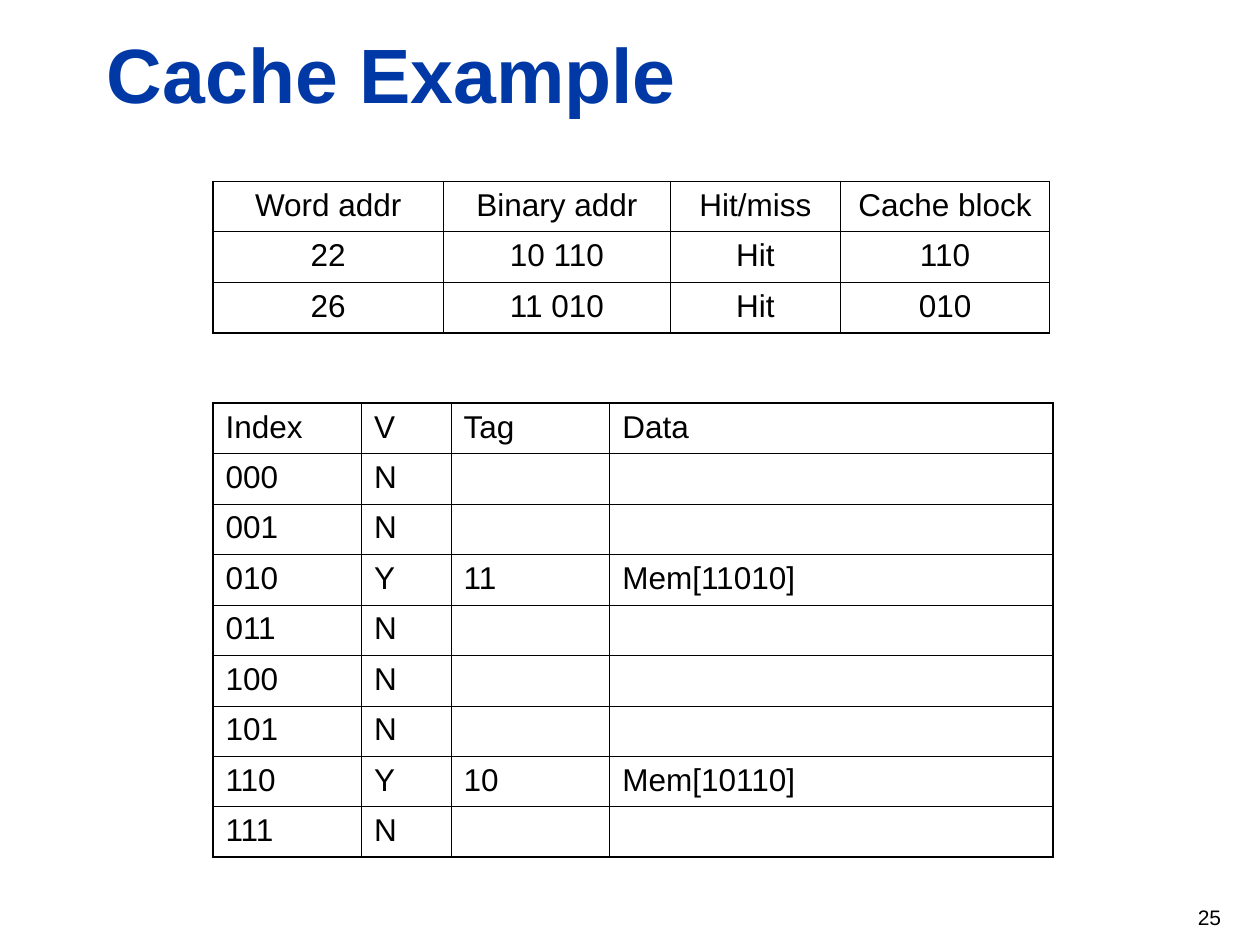
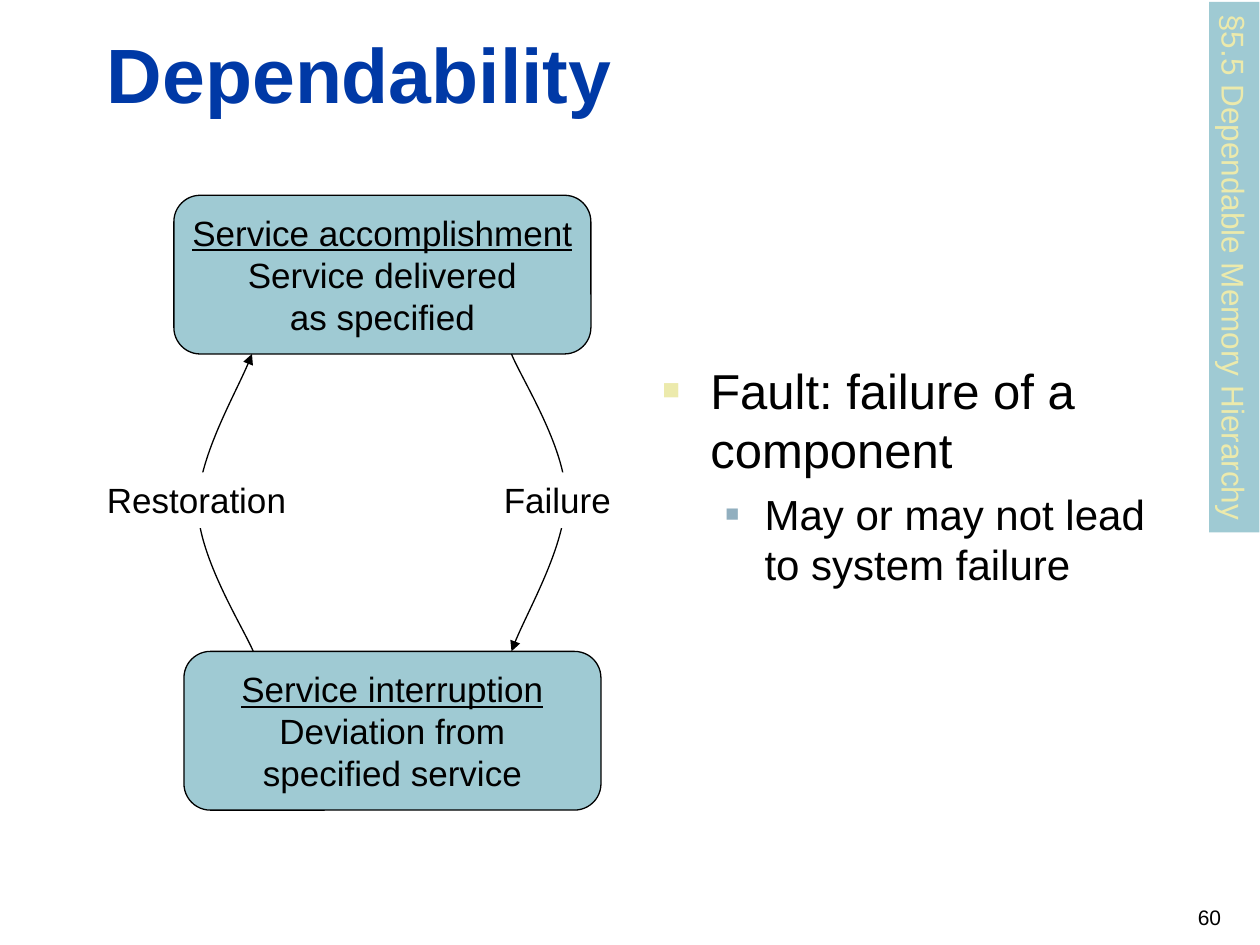
from dataclasses import dataclass

import lxml.etree
import pptx
import pptx.dml.color
import pptx.enum.shapes
import pptx.enum.text
import pptx.oxml.ns
import pptx.shapes.autoshape
import pptx.slide
import pptx.table
import pptx.text.text
import pptx.util

Inches = pptx.util.Inches
Pt = pptx.util.Pt
RGBColor = pptx.dml.color.RGBColor
Align = pptx.enum.text.PP_ALIGN
Anchor = pptx.enum.text.MSO_ANCHOR
Geometry = pptx.enum.shapes.MSO_SHAPE
qn = pptx.oxml.ns.qn

BLACK = RGBColor(0x00, 0x00, 0x00)
WHITE = RGBColor(0xFF, 0xFF, 0xFF)
TITLE_BLUE = RGBColor(0x00, 0x39, 0xA6)
TEAL = RGBColor(0x9F, 0xCA, 0xD3)
CREAM = RGBColor(0xEC, 0xEA, 0xAC)
SLATE = RGBColor(0x91, 0xAF, 0xBF)

FONT = "Arial"
LINE_WIDTH = 0.75
OUTER_BORDER = 1.08
INNER_BORDER = 0.45
ROW_HEIGHT = 0.4


@dataclass(frozen=True)
class Box:
    left: float
    top: float
    width: float
    height: float

    def lengths(self) -> tuple[int, ...]:
        return tuple(Inches(value) for value in (self.left, self.top, self.width, self.height))


@dataclass(frozen=True)
class TextStyle:
    size: float
    color: RGBColor = BLACK
    bold: bool = False
    underline: bool = False
    align: Align = Align.LEFT
    space_before: float = 0


@dataclass(frozen=True)
class CacheTable:
    left: float
    top: float
    column_widths: tuple[float, ...]
    rows: tuple[tuple[str, ...], ...]
    align: Align
    row_rule: float


@dataclass(frozen=True)
class Bullet:
    text: str
    style: TextStyle
    color: RGBColor
    percent: int
    margin: float
    hanging: float


@dataclass(frozen=True)
class ServiceState:
    box: Box
    heading: str
    description: str


@dataclass(frozen=True)
class Transition:
    label: str
    label_box: Box
    align: Align
    curve: tuple[tuple[float, float], ...]


TITLE_BOX = Box(0.75, 0.16, 9.03, 0.83)
NUMBER_BOX = Box(7.54, 7.08, 2.25, 0.4)
SECTION_BOX = Box(7.69, 1.92, 4.21, 0.4)
BODY_BOX = Box(5.16, 2.81, 4.33, 4.02)

TITLE_STYLE = TextStyle(44, TITLE_BLUE, bold=True)
NUMBER_STYLE = TextStyle(12, align=Align.RIGHT)
SECTION_STYLE = TextStyle(18, CREAM)
STATE_STYLE = TextStyle(20, align=Align.CENTER)
STATE_HEADING_STYLE = TextStyle(20, underline=True, align=Align.CENTER)

CACHE_CONTENTS = {"010": ("Y", "11", "Mem[11010]"), "110": ("Y", "10", "Mem[10110]")}
CACHE_ROWS = tuple(
    (index, *CACHE_CONTENTS.get(index, ("N", "", "")))
    for index in (f"{number:03b}" for number in range(8))
)

TABLES = (
    CacheTable(1.69, 3.2, (1.18, 0.71, 1.26, 3.52),
               (("Index", "V", "Tag", "Data"), *CACHE_ROWS), Align.LEFT, INNER_BORDER),
    CacheTable(1.69, 1.44, (1.83, 1.8, 1.35, 1.66),
               (("Word addr", "Binary addr", "Hit/miss", "Cache block"),
                ("22", "10 110", "Hit", "110"),
                ("26", "11 010", "Hit", "010")), Align.CENTER, LINE_WIDTH),
)

BULLETS = (
    Bullet("Fault: failure of a component", TextStyle(28, space_before=7),
           CREAM, 60, 0.38, 0.38),
    Bullet("May or may not lead to system failure", TextStyle(24, space_before=6),
           SLATE, 55, 0.81, 0.31),
)

STATES = (
    ServiceState(Box(1.38, 1.55, 3.31, 1.26), "Service accomplishment",
                 "Service delivered\nas specified"),
    ServiceState(Box(1.46, 5.17, 3.31, 1.26), "Service interruption",
                 "Deviation from\nspecified service"),
)

TRANSITIONS = (
    Transition("Failure", Box(3.9, 3.75, 1.05, 0.44), Align.LEFT,
               ((4.06, 2.81), (4.13, 2.99), (4.49, 3.55), (4.49, 3.94),
                (4.49, 4.33), (4.15, 4.91), (4.06, 5.17))),
    Transition("Restoration", Box(0.75, 3.75, 1.62, 0.44), Align.RIGHT,
               ((2.01, 5.17), (1.93, 4.98), (1.58, 4.43), (1.57, 4.03),
                (1.57, 3.64), (1.91, 3.06), (2.0, 2.81))),
)


def write_paragraph(paragraph: pptx.text.text._Paragraph, text: str, style: TextStyle) -> None:
    paragraph.alignment = style.align
    paragraph.space_before = Pt(style.space_before)
    for number, line in enumerate(text.split("\n")):
        if number:
            paragraph.add_line_break()
        run = paragraph.add_run()
        run.text = line
        run.font.name = FONT
        run.font.size = Pt(style.size)
        run.font.bold = style.bold
        run.font.underline = style.underline
        run.font.color.rgb = style.color


def add_text(slide: pptx.slide.Slide, box: Box, text: str, style: TextStyle,
             anchor: Anchor) -> None:
    frame = slide.shapes.add_textbox(*box.lengths()).text_frame
    frame.word_wrap = True
    frame.vertical_anchor = anchor
    write_paragraph(frame.paragraphs[0], text, style)


def add_block(slide: pptx.slide.Slide, geometry: Geometry, box: Box, fill: RGBColor,
              anchor: Anchor = Anchor.TOP) -> pptx.shapes.autoshape.Shape:
    """Add a filled shape without outline whose text does not wrap."""
    shape = slide.shapes.add_shape(geometry, *box.lengths())
    shape.shadow.inherit = False
    shape.fill.solid()
    shape.fill.fore_color.rgb = fill
    shape.line.fill.background()
    shape.text_frame.word_wrap = False
    shape.text_frame.vertical_anchor = anchor
    return shape


def set_black_line(shape: pptx.shapes.autoshape.Shape) -> None:
    shape.line.color.rgb = BLACK
    shape.line.width = Pt(LINE_WIDTH)


def set_cell_borders(cell: pptx.table._Cell, widths: dict[str, float]) -> None:
    """Add borders, which the schema wants in the order L, R, T, B before the fill."""
    properties = cell._tc.get_or_add_tcPr()
    for position, (side, width) in enumerate(widths.items()):
        line = lxml.etree.Element(qn(f"a:ln{side}"), w=str(Pt(width)))
        fill = lxml.etree.SubElement(line, qn("a:solidFill"))
        lxml.etree.SubElement(fill, qn("a:srgbClr"), val=str(BLACK))
        properties.insert(position, line)


def add_cache_table(slide: pptx.slide.Slide, content: CacheTable) -> None:
    row_count, column_count = len(content.rows), len(content.column_widths)
    box = Box(content.left, content.top, sum(content.column_widths), ROW_HEIGHT * row_count)
    table = slide.shapes.add_table(row_count, column_count, *box.lengths()).table
    table.first_row = False
    table.horz_banding = False
    for column, width in zip(table.columns, content.column_widths):
        column.width = Inches(width)
    style = TextStyle(18, align=content.align, space_before=4.5)

    def row_edge(edge: int) -> float:
        if edge in (0, row_count):
            return OUTER_BORDER
        return LINE_WIDTH if edge == 1 else content.row_rule

    def column_edge(edge: int) -> float:
        return OUTER_BORDER if edge in (0, column_count) else INNER_BORDER

    for row, texts in enumerate(content.rows):
        table.rows[row].height = Inches(ROW_HEIGHT)
        for column, text in enumerate(texts):
            cell = table.cell(row, column)
            cell.fill.background()
            if text:
                write_paragraph(cell.text_frame.paragraphs[0], text, style)
            set_cell_borders(cell, {"L": column_edge(column), "R": column_edge(column + 1),
                                    "T": row_edge(row), "B": row_edge(row + 1)})


def add_bullets(slide: pptx.slide.Slide) -> None:
    frame = slide.shapes.add_textbox(*BODY_BOX.lengths()).text_frame
    frame.word_wrap = True
    for level, bullet in enumerate(BULLETS):
        paragraph = frame.add_paragraph() if level else frame.paragraphs[0]
        paragraph.level = level
        write_paragraph(paragraph, bullet.text, bullet.style)
        properties = paragraph._p.get_or_add_pPr()
        properties.set("marL", str(Inches(bullet.margin)))
        properties.set("indent", str(-Inches(bullet.hanging)))
        color = lxml.etree.SubElement(properties, qn("a:buClr"))
        lxml.etree.SubElement(color, qn("a:srgbClr"), val=str(bullet.color))
        lxml.etree.SubElement(properties, qn("a:buSzPct"), val=str(bullet.percent * 1000))
        lxml.etree.SubElement(properties, qn("a:buFont"), typeface=FONT)
        lxml.etree.SubElement(properties, qn("a:buChar"), char="■")


def add_state(slide: pptx.slide.Slide, state: ServiceState) -> None:
    shape = add_block(slide, Geometry.ROUNDED_RECTANGLE, state.box, TEAL, Anchor.MIDDLE)
    set_black_line(shape)
    frame = shape.text_frame
    write_paragraph(frame.paragraphs[0], state.heading, STATE_HEADING_STYLE)
    write_paragraph(frame.add_paragraph(), state.description, STATE_STYLE)


def add_curved_arrow(slide: pptx.slide.Slide, points: tuple[tuple[float, float], ...]) -> None:
    """Draw a Bezier arrow from a start point followed by triples of curve points."""
    start, *others = [(Inches(x), Inches(y)) for x, y in points]
    builder = slide.shapes.build_freeform(*start)
    builder.add_line_segments(others, close=False)
    shape = builder.convert_to_shape()
    segments = list(shape._element.iter(qn("a:lnTo")))
    outline = segments[0].getparent()
    for first in range(0, len(segments), 3):
        curve = lxml.etree.SubElement(outline, qn("a:cubicBezTo"))
        for segment in segments[first:first + 3]:
            curve.append(segment[0])
            outline.remove(segment)
    shape.shadow.inherit = False
    shape.fill.background()
    set_black_line(shape)
    lxml.etree.SubElement(shape.line._get_or_add_ln(), qn("a:tailEnd"), type="triangle")


def add_transition(slide: pptx.slide.Slide, transition: Transition) -> None:
    add_curved_arrow(slide, transition.curve)
    label = add_block(slide, Geometry.RECTANGLE, transition.label_box, WHITE)
    write_paragraph(label.text_frame.paragraphs[0], transition.label,
                    TextStyle(20, align=transition.align))


def add_section_tab(slide: pptx.slide.Slide, text: str) -> None:
    tab = add_block(slide, Geometry.RECTANGLE, SECTION_BOX, TEAL)
    tab.rotation = 90
    write_paragraph(tab.text_frame.paragraphs[0], text, SECTION_STYLE)


def add_slide(presentation: pptx.presentation.Presentation, title: str,
              number: int) -> pptx.slide.Slide:
    slide = presentation.slides.add_slide(presentation.slide_layouts[6])
    add_text(slide, TITLE_BOX, title, TITLE_STYLE, Anchor.BOTTOM)
    add_text(slide, NUMBER_BOX, str(number), NUMBER_STYLE, Anchor.MIDDLE)
    return slide


def main() -> None:
    presentation = pptx.Presentation()
    presentation.slide_width = Inches(10)
    presentation.slide_height = Inches(7.5)

    cache_slide = add_slide(presentation, "Cache Example", 25)
    for table in TABLES:
        add_cache_table(cache_slide, table)

    dependability_slide = add_slide(presentation, "Dependability", 60)
    add_bullets(dependability_slide)
    for state in STATES:
        add_state(dependability_slide, state)
    for transition in TRANSITIONS:
        add_transition(dependability_slide, transition)
    add_section_tab(dependability_slide, "§5.5 Dependable Memory Hierarchy")

    presentation.save("out.pptx")


if __name__ == "__main__":
    main()
